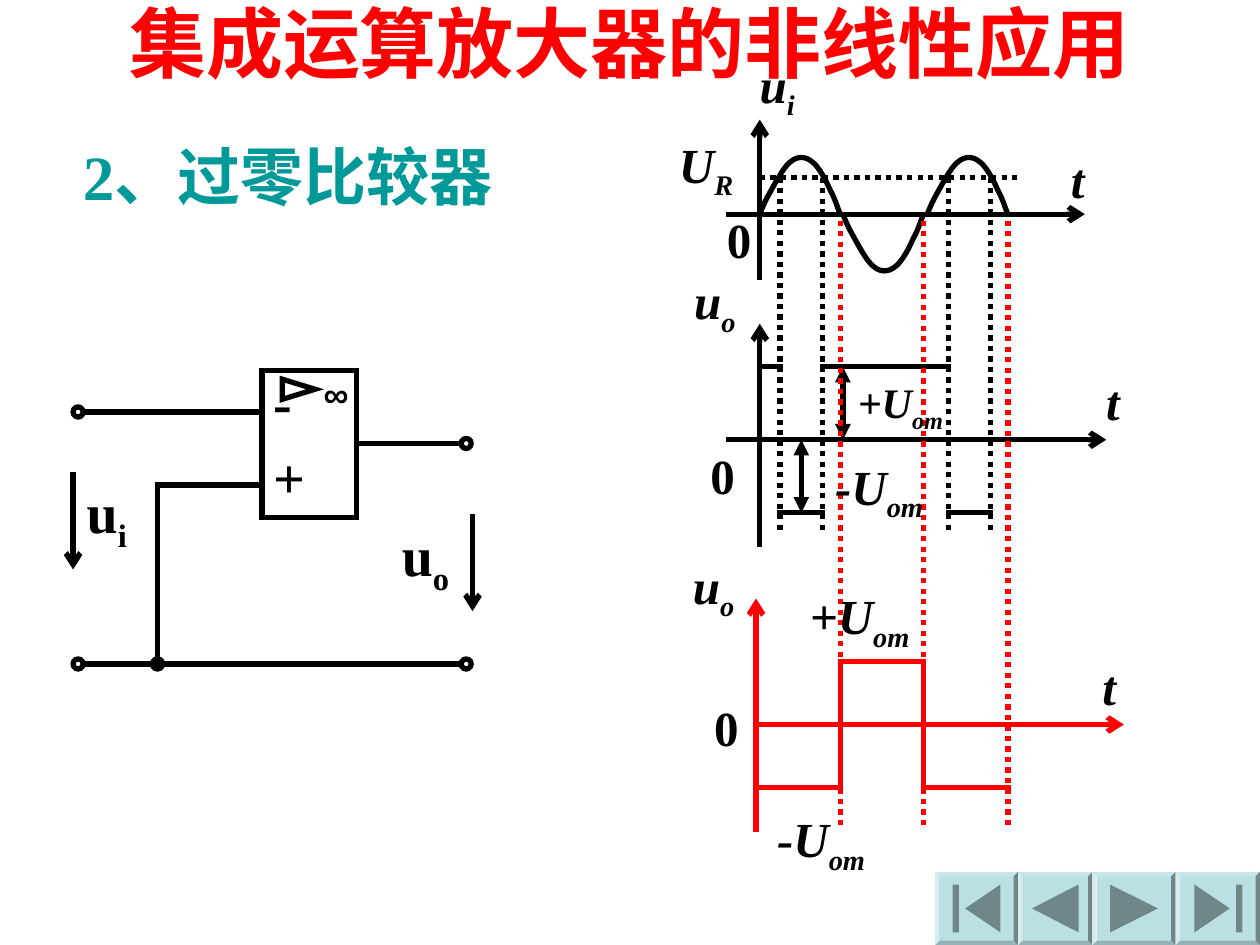
from dataclasses import dataclass

from lxml import etree
from pptx import Presentation
from pptx import util as u
from pptx.dml.color import RGBColor
from pptx.enum import dml, shapes, text
from pptx.oxml import ns


@dataclass(frozen=True)
class Theme:
    black: str = "000000"
    red: str = "FF0000"
    teal: str = "009999"
    button: str = "BBE0E3"
    glyph: str = "708789"
    serif: str = "Times New Roman"
    sans: str = "Arial"
    title: int = 44
    heading: int = 36
    circuit: int = 32
    label: int = 28
    small: int = 24
    tiny: int = 20
    stroke: int = 3


# Bezier control points of one half wave, rising from its left end
HALF_WAVE = [(0, 0), (0.02, 0.05), (0.04, 0.1), (0.08, 0.17), (0.12, 0.24), (0.19, 0.38),
             (0.25, 0.42), (0.3, 0.46), (0.36, 0.46), (0.41, 0.42), (0.47, 0.38),
             (0.53, 0.26), (0.56, 0.19), (0.6, 0.12), (0.62, 0.04), (0.64, 0)]


def inch(value):
    """Turn the slide's inch grid into a length in centimetres."""
    return u.Cm(value * 2.54)


class Drawing:
    def __init__(self, slide, theme):
        self.slide = slide
        self.theme = theme

    def stroke(self, shape, color=None):
        shape.line.color.rgb = RGBColor.from_string(color or self.theme.black)
        shape.line.width = u.Pt(self.theme.stroke)
        outline = shape._element.spPr.find(ns.qn("a:ln"))
        etree.SubElement(outline, ns.qn("a:miter")).set("lim", "800000")
        return outline

    def text(self, x, y, width, words, sub="", size=None, italic=False, color=None, font=None):
        size = size or self.theme.label
        height = size * (1.36 if sub else 1.2) / 72 + 0.1
        box = self.slide.shapes.add_textbox(*map(inch, (x, y, width + 0.05, height)))
        box.text_frame.word_wrap = True
        paragraph = box.text_frame.paragraphs[0]
        paragraph.text = words
        if sub:
            run = paragraph.add_run()
            run.text = sub
            run._r.get_or_add_rPr().set("baseline", "-25000")
        for run in paragraph.runs:
            run.font.name = font or self.theme.serif
            run.font.size = u.Pt(size)
            run.font.bold = True
            run.font.italic = italic
            run.font.color.rgb = RGBColor.from_string(color or self.theme.black)
        return box

    def symbol(self, x, y, width, words, sub="", size=None):
        self.text(x, y, width, words, sub, size, italic=True)

    def line(self, x1, y1, x2, y2, color=None, dotted=False, head=None, tail=None):
        connector = self.slide.shapes.add_connector(
            shapes.MSO_CONNECTOR.STRAIGHT, *map(inch, (x1, y1, x2, y2)))
        outline = self.stroke(connector, color)
        if dotted:
            connector.line.dash_style = dml.MSO_LINE.ROUND_DOT
        else:
            outline.set("cap", "sq")
        for tag, kind in (("a:headEnd", head), ("a:tailEnd", tail)):
            if kind:
                etree.SubElement(outline, ns.qn(tag)).set("type", kind)
        etree.SubElement(connector._element.spPr, ns.qn("a:effectLst"))

    def steps(self, edges, levels, color=None):
        for left, right, level in zip(edges, edges[1:], levels):
            self.line(left, level, right, level, color)

    def finish(self, shape, fill, outlined):
        shape.shadow.inherit = False
        if fill:
            shape.fill.solid()
            shape.fill.fore_color.rgb = RGBColor.from_string(fill)
        else:
            shape.fill.background()
        if outlined:
            self.stroke(shape)
        else:
            shape.line.fill.background()
        return shape

    def shape(self, kind, x, y, width, height, fill=None, outlined=True):
        shape = self.slide.shapes.add_shape(kind, *map(inch, (x, y, width, height)))
        return self.finish(shape, fill, outlined)

    def terminal(self, x, y, fill=None):
        self.shape(shapes.MSO_SHAPE.OVAL, x - 0.04, y - 0.04, 0.08, 0.08, fill)

    def outline(self, points, fill=None):
        points = [(inch(x), inch(y)) for x, y in points]
        builder = self.slide.shapes.build_freeform(*points[0], scale=1.0)
        builder.add_line_segments(points[1:], close=bool(fill))
        self.finish(builder.convert_to_shape(), fill, outlined=not fill)

    def half_wave(self, x, y, sign, count=10):
        points = [(x, y)]
        for start in range(0, len(HALF_WAVE) - 1, 3):
            for t in (step / count for step in range(1, count + 1)):
                weights = ((1 - t) ** 3, 3 * t * (1 - t) ** 2, 3 * t * t * (1 - t), t ** 3)
                dx, dy = (sum(w * c[axis] for w, c in zip(weights, HALF_WAVE[start:start + 4]))
                          for axis in (0, 1))
                points.append((x + dx, y - sign * dy))
        self.outline(points)

    def button(self, x, width, tip, base, bar=None):
        bevel = self.shape(shapes.MSO_SHAPE.BEVEL, x, 6.92, width, 0.58,
                           self.theme.button, outlined=False)
        bevel.adjustments[0] = 0.06
        self.outline([(tip, 7.21), (base, 7.02), (base, 7.4)], self.theme.glyph)
        if bar:
            self.shape(shapes.MSO_SHAPE.RECTANGLE, bar, 7.02, 0.05, 0.38,
                       self.theme.glyph, outlined=False)


def draw_page(draw):
    theme = draw.theme
    # Navigation buttons
    draw.button(7.42, 0.66, 7.66, 7.94, bar=7.56)
    draw.button(8.08, 0.59, 8.19, 8.56)
    draw.button(8.67, 0.66, 9.19, 8.81)
    draw.button(9.33, 0.67, 9.76, 9.48, bar=9.81)
    # Headings
    title = draw.text(0.75, 0, 8.45, "集成运算放大器的非线性应用", size=theme.title,
                      color=theme.red, font=theme.sans)
    title.height = inch(0.67)
    title.text_frame.vertical_anchor = text.MSO_ANCHOR.MIDDLE
    title.text_frame.paragraphs[0].alignment = text.PP_ALIGN.CENTER
    draw.text(0.56, 1.04, 3.78, "2、过零比较器", size=theme.heading, color=theme.teal)
    # Comparator circuit
    draw.shape(shapes.MSO_SHAPE.RECTANGLE, 2.08, 2.94, 0.75, 1.17)
    draw.shape(shapes.MSO_SHAPE.ISOSCELES_TRIANGLE, 2.29, 2.96, 0.16, 0.26).rotation = 90
    for wire in ((0.66, 3.27, 2.08, 3.27), (1.25, 3.85, 2.08, 3.85), (1.25, 3.85, 1.25, 5.27),
                 (0.66, 5.27, 3.66, 5.27), (2.83, 3.52, 3.66, 3.52)):
        draw.line(*wire)
    for x, y in ((0.62, 3.27), (0.62, 5.27), (3.7, 3.52), (3.7, 5.27)):
        draw.terminal(x, y)
    draw.terminal(1.25, 5.27, theme.black)
    draw.line(0.58, 3.77, 0.58, 4.52, tail="arrow")
    draw.line(3.75, 4.1, 3.75, 4.85, tail="arrow")
    for label in ((2.07, 2.87, 0.35, "-"), (2.07, 3.46, 0.45, "+"),
                  (0.59, 3.74, 0.52, "u", "i"), (3.09, 4.08, 0.57, "u", "o")):
        draw.text(*label, size=theme.circuit)
    draw.text(2.47, 2.91, 0.41, "∞", size=theme.tiny, font=theme.sans)
    # Axes of the three plots
    for left, right, zero, bottom, top, origin, color in (
            (5.78, 8.61, 1.7, 2.2, 0.95, 6.03, theme.black),
            (5.78, 8.78, 3.49, 4.32, 2.57, 6.03, theme.black),
            (6, 8.92, 5.75, 6.58, 4.75, 6, theme.red)):
        draw.line(left, zero, right, zero, color, tail="arrow")
        draw.line(origin, bottom, origin, top, color, tail="arrow")
    # Input sine wave and reference level
    for x, sign in ((6.03, 1), (6.69, -1), (7.36, 1)):
        draw.half_wave(x, 1.7, sign)
    draw.line(6.03, 1.41, 8.11, 1.41, dotted=True)
    # Output against the reference level
    edges = (6.03, 6.19, 6.53, 7.53, 7.86)
    for x in edges[1:]:
        draw.line(x, 1.41, x, 4.24, dotted=True)
    draw.steps(edges, (2.91, 4.07) * 2)
    for x, top, bottom in ((6.69, 2.91, 3.49), (6.36, 3.49, 4.07)):
        draw.line(x, top, x, bottom, head="triangle", tail="triangle")
    # Output of the zero-crossing comparator
    edges = (6, 6.67, 7.33, 8)
    for x in edges[1:]:
        draw.line(x, 1.75, x, 6.58, theme.red, dotted=True)
    draw.steps(edges, (6.25, 5.25, 6.25), theme.red)
    for x in edges[1:3]:
        draw.line(x, 5.25, x, 6.25, theme.red)
    # Plot labels
    for x, y in ((5.67, 1.61), (5.54, 3.49), (5.57, 5.49)):
        draw.text(x, y, 0.39, "0")
    for x, y in ((8.4, 1.14), (8.68, 2.9), (8.65, 5.16)):
        draw.symbol(x, y, 0.31, "t")
    for label in ((5.93, 0.38, 0.48, "u", "i"), (5.29, 1.02, 0.63, "U", "R"),
                  (5.41, 2.1, 0.53, "u", "o"), (5.4, 4.36, 0.53, "u", "o"),
                  (6.71, 2.94, 0.88, "+U", "om", theme.small), (6.53, 3.57, 1.12, "-U", "om"),
                  (6.33, 4.6, 0.99, "+U", "om"), (6.07, 6.37, 0.91, "-U", "om")):
        draw.symbol(*label)


presentation = Presentation()
presentation.slide_width, presentation.slide_height = u.Cm(25.4), u.Cm(19.05)
draw_page(Drawing(presentation.slides.add_slide(presentation.slide_layouts[6]), Theme()))
presentation.save("out.pptx")
